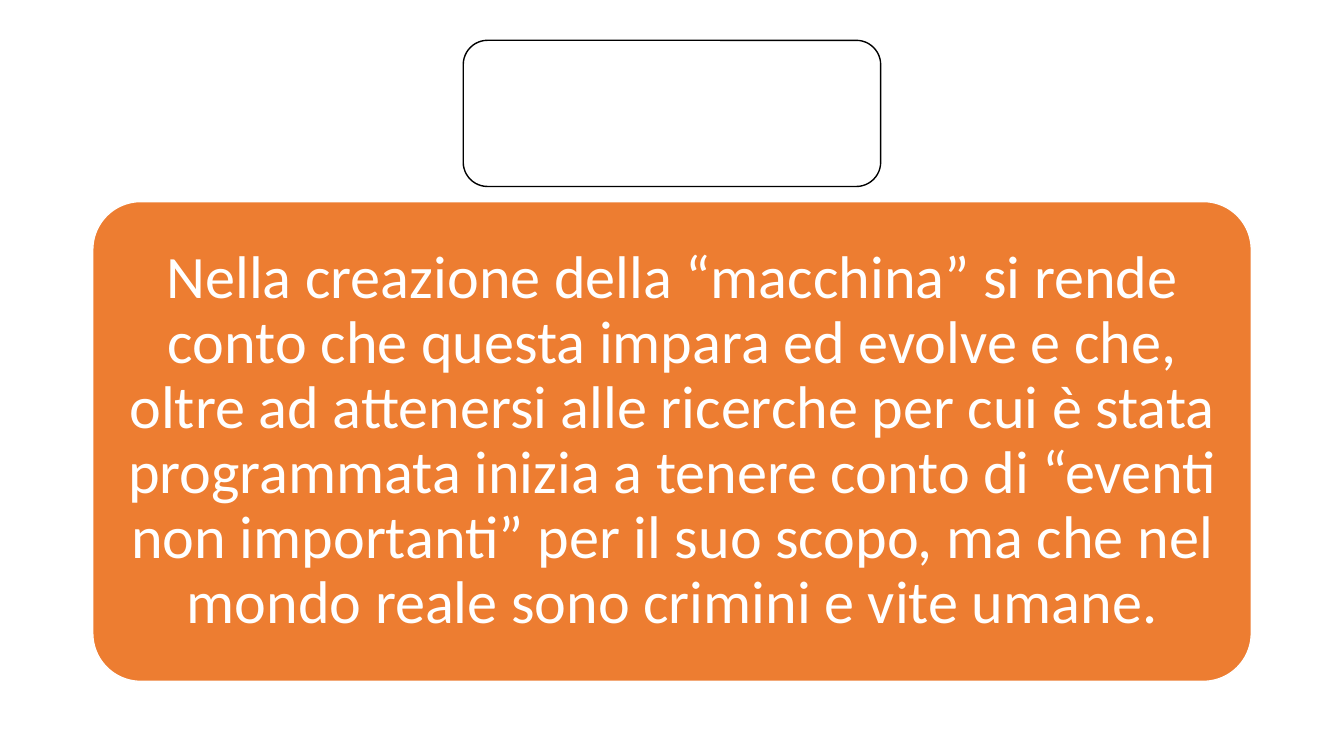
from pptx import Presentation
from pptx import util as u
from pptx.dml.color import RGBColor
from pptx.enum import shapes, text

deck = Presentation()
deck.slide_width, deck.slide_height = u.Inches(13.33), u.Inches(7.5)
wide = deck.slide_width / u.Inches(1)
slide = deck.slides.add_slide(deck.slide_layouts[6])


def hue(code):
    return RGBColor.from_string(code)


def panel(top, width, height, fill, line):
    """Add a rounded box centred across the slide."""
    box = slide.shapes.add_shape(
        shapes.MSO_SHAPE.ROUNDED_RECTANGLE,
        u.Inches((wide - width) / 2), u.Inches(top),
        u.Inches(width), u.Inches(height))
    box.shadow.inherit = False
    box.fill.solid()
    box.fill.fore_color.rgb = hue(fill)
    box.line.color.rgb = hue(line)
    box.line.width = u.Pt(1)
    return box


# Empty title box
panel(0.4, 4.14, 1.45, "FFFFFF", "000000")

# Main statement
main = panel(2, 11.49, 4.76, "ED7D31", "FFFFFF")
main.adjustments[0] = 0.1
frame = main.text_frame
frame.word_wrap = True
frame.vertical_anchor = text.MSO_ANCHOR.MIDDLE
# The rounded corners already inset the text by 0.14
frame.margin_left = frame.margin_right = u.Inches(0.18)
frame.margin_top = frame.margin_bottom = u.Inches(0.18)
frame.text = (
    "Nella creazione della “macchina” si rende conto che questa impara ed "
    "evolve e che, oltre ad attenersi alle ricerche per cui è stata "
    "programmata inizia a tenere conto di “eventi non importanti” per il suo "
    "scopo, ma che nel mondo reale sono crimini e vite umane.")
para = frame.paragraphs[0]
para.alignment = text.PP_ALIGN.CENTER
para.line_spacing = 0.9
font = para.runs[0].font
font.name, font.size = "Calibri", u.Pt(43)
font.color.rgb = hue("FFFFFF")

deck.save("out.pptx")
